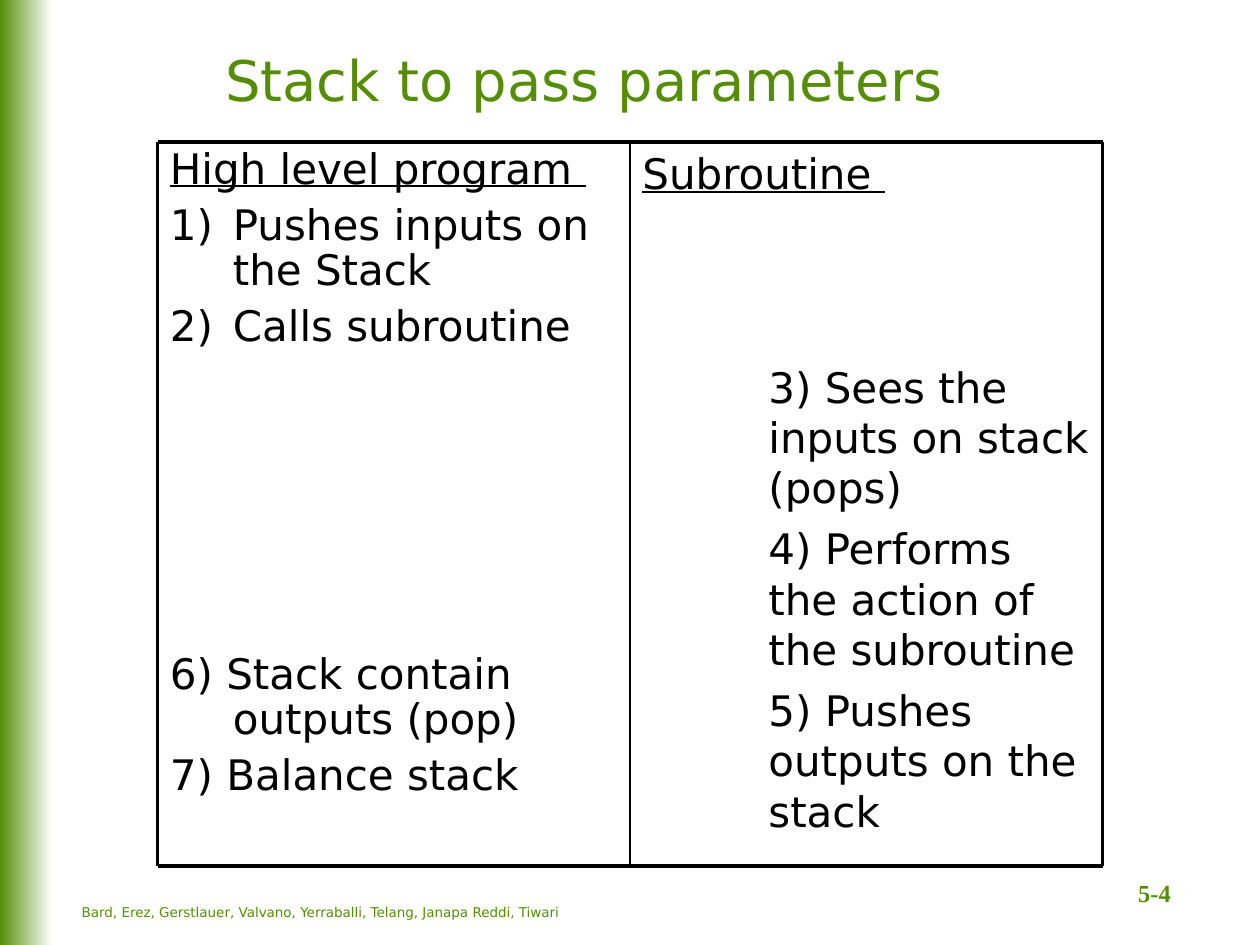
from lxml import etree
from pptx import Presentation, util as u
from pptx.dml.color import RGBColor
from pptx.enum import shapes, text
from pptx.oxml.ns import qn

THEME = dict(
    green=RGBColor.from_string("558D06"),
    white=RGBColor.from_string("FFFFFF"),
    black=RGBColor.from_string("000000"),
    sans="DejaVu Sans", serif="Times New Roman",
    title=32, body=24, number=14, footer=7.7, frame=2.25, divider=1,
)
CELL = u.Inches(0.125)  # grid of 80 columns by 60 rows

prs = Presentation()
prs.slide_width, prs.slide_height = 80 * CELL, 60 * CELL
s = prs.slides.add_slide(prs.slide_layouts[6])


def grid(*cells):
    return [round(c * CELL) for c in cells]


def add_text(box, paras, size, color, anchor=text.MSO_ANCHOR.TOP, font="sans", bold=False):
    """Each paragraph is (words, paragraph formats, underline, margin, indent, numbered)."""
    tf = s.shapes.add_textbox(*grid(*box)).text_frame
    tf.word_wrap, tf.vertical_anchor = True, anchor
    for i, (words, fmt, underline, margin, indent, numbered) in enumerate(paras):
        p = tf.paragraphs[0] if i == 0 else tf.add_paragraph()
        for name, value in fmt.items():
            setattr(p, name, value)
        pPr = p._p.get_or_add_pPr()
        pPr.set("marL", str(u.Inches(margin)))
        pPr.set("indent", str(u.Inches(indent)))
        if numbered:
            etree.SubElement(pPr, qn("a:buFont"), typeface=THEME["sans"])
            etree.SubElement(pPr, qn("a:buAutoNum"), type="arabicParenR")
        r = p.add_run()
        r.text = words
        look = dict(size=u.Pt(THEME[size]), name=THEME[font], bold=bold, underline=underline)
        for name, value in look.items():
            setattr(r.font, name, value)
        r.font.color.rgb = THEME[color]


# Gradient strip at the left edge
sp = s.shapes.add_shape(shapes.MSO_SHAPE.RECTANGLE, *grid(0, 0, 3.3, 60))
sp.shadow.inherit = False
sp.line.fill.background()
sp.fill.gradient()
sp.fill.gradient_angle = 0
for stop, color, position in zip(sp.fill.gradient_stops, ("green", "white"), (0, 1)):
    stop.color.rgb, stop.position = THEME[color], position

# Title, slide number and footer
center = dict(alignment=text.PP_ALIGN.CENTER)
add_text((3.4, 2, 67.4, 6), [("Stack to pass parameters", center, False, 0, 0, False)],
         "title", "green", text.MSO_ANCHOR.MIDDLE)
add_text((68.6, 54.3, 9.4, 3.7), [("5-4", center, False, 0, 0, False)],
         "number", "green", text.MSO_ANCHOR.BOTTOM, "serif", True)
add_text((4.4, 57.2, 60.6, 2),
         [("Bard, Erez, Gerstlauer, Valvano, Yerraballi, Telang, Janapa Reddi, Tiwari",
           dict(line_spacing=0.8), False, 0, 0, False)], "footer", "green")

# Two columns of steps; the wide gaps leave room for the other side's turn
left, middle, right, top, bottom = 10, 40, 70, 9, 55
step = dict(space_before=u.Pt(6))
tight = dict(step, line_spacing=0.9)
add_text((left, top, middle - left, bottom - top), [
    ("High level program ", tight, True, 0.5, -0.5, False),
    ("Pushes inputs on the Stack", tight, False, 0.5, -0.5, True),
    ("Calls subroutine", tight, False, 0.5, -0.5, True),
    ("6) Stack contain outputs (pop)", dict(tight, space_before=u.Pt(173)),
     False, 0.5, -0.5, False),
    ("7) Balance stack", tight, False, 0.5, -0.5, False),
], "body", "black")
add_text((middle, top, right - middle, bottom - top), [
    ("Subroutine ", step, True, 0, 0, False),
    ("3) Sees the inputs on stack (pops)", dict(space_before=u.Pt(93)), False, 1, 0, False),
    ("4) Performs the action of the subroutine", step, False, 1, 0, False),
    ("5) Pushes outputs on the stack", step, False, 1, 0, False),
], "body", "black")

# Frame and divider
rules = [(left, y, right, y, "frame") for y in (top, bottom)]
rules += [(x, top, x, bottom, "divider" if x == middle else "frame")
          for x in (left, middle, right)]
for *ends, weight in rules:
    line = s.shapes.add_connector(shapes.MSO_CONNECTOR.STRAIGHT, *grid(*ends))
    line.line.width, line.line.color.rgb = u.Pt(THEME[weight]), THEME["black"]
    etree.SubElement(line._element.spPr, qn("a:effectLst"))

prs.save("out.pptx")
